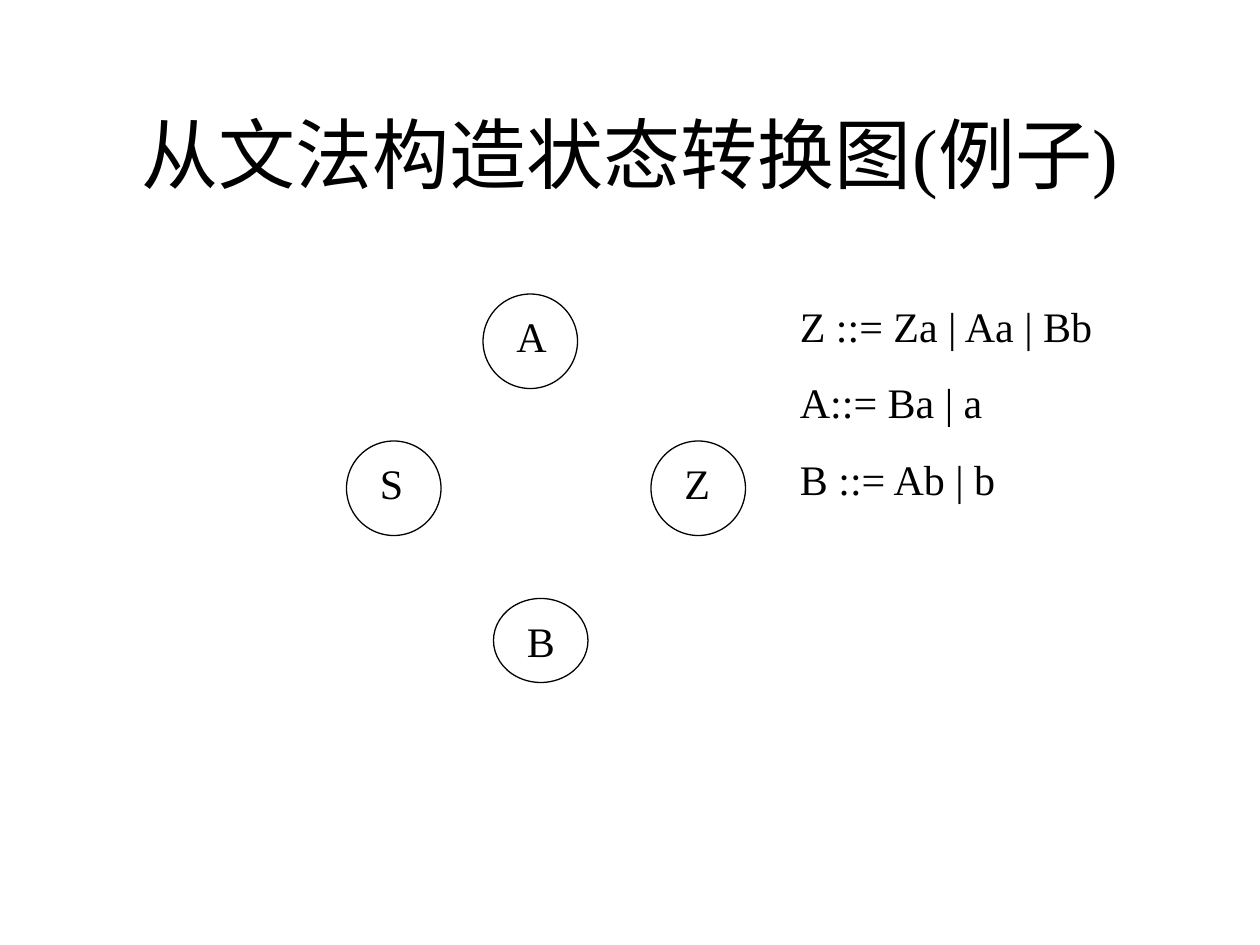
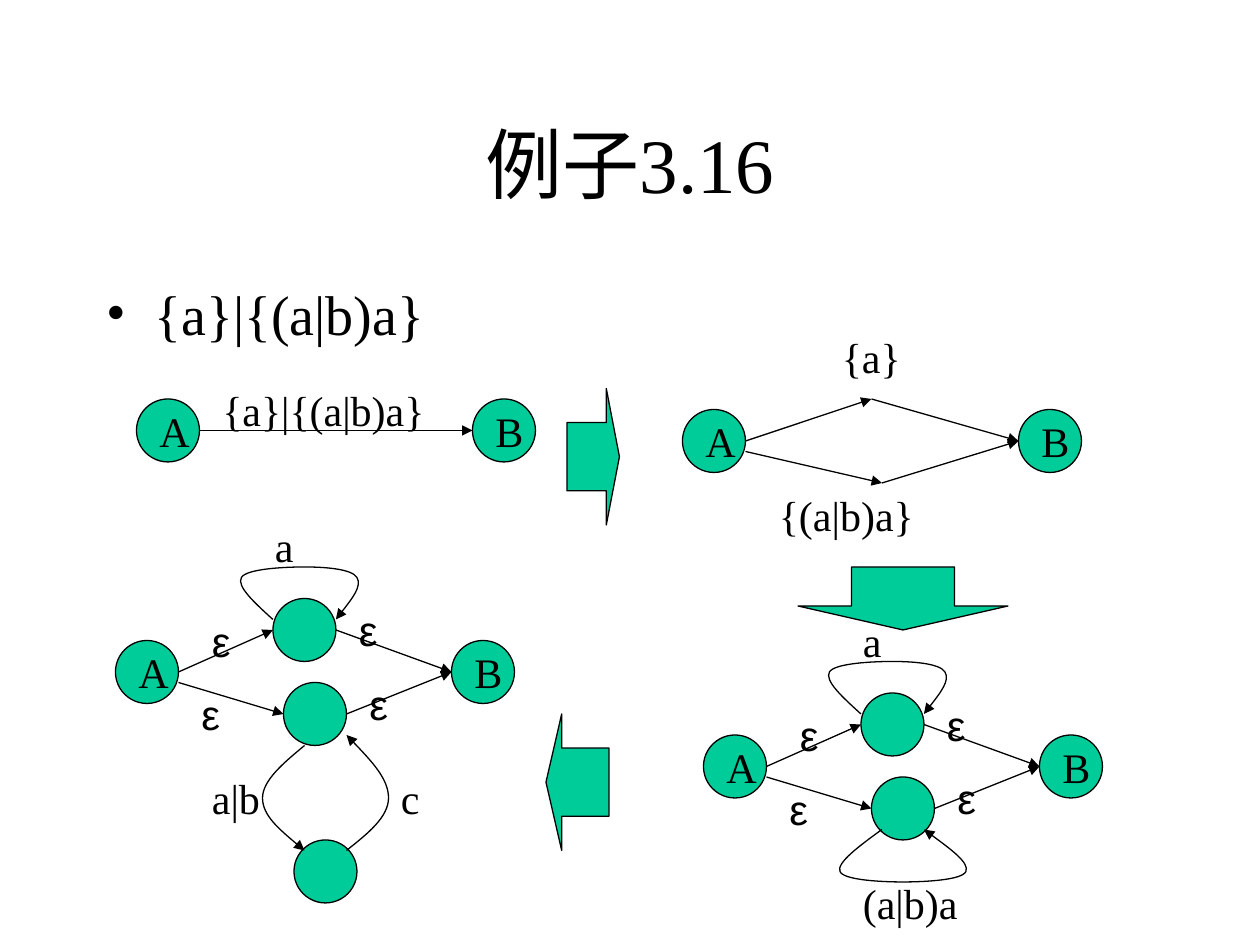
from dataclasses import dataclass

from lxml import etree
from pptx import Presentation
from pptx.dml.color import RGBColor
from pptx.enum.shapes import MSO_CONNECTOR, MSO_SHAPE
from pptx.enum.text import MSO_ANCHOR, MSO_AUTO_SIZE, PP_ALIGN
from pptx.oxml.ns import qn
from pptx.util import Inches, Pt

ELLIPSE = MSO_SHAPE.OVAL
RIGHT_ARROW = MSO_SHAPE.RIGHT_ARROW
DOWN_ARROW = MSO_SHAPE.DOWN_ARROW
LEFT_ARROW = MSO_SHAPE.LEFT_ARROW
STRAIGHT = MSO_CONNECTOR.STRAIGHT
MIDDLE = MSO_ANCHOR.MIDDLE
CENTER = PP_ALIGN.CENTER
GROW = MSO_AUTO_SIZE.SHAPE_TO_FIT_TEXT

CELL = Inches(1) // 12  # the slide is a grid of 120 columns by 90 rows
NODE = 6                # diameter of a state
SPAN = 32               # columns from state A to state B


@dataclass(frozen=True)
class Theme:
    ink: RGBColor = RGBColor(0, 0, 0)
    accent: RGBColor = RGBColor(0x00, 0xCC, 0x99)
    font: str = "Times New Roman"
    symbol_font: str = "Arial"
    title_size: int = 44
    body_size: int = 32
    label_size: int = 24
    line_width: float = 0.75
    label_gap: int = 15
    body_gap: int = 8


THEME = Theme()


def cells(*counts):
    return [round(count * CELL) for count in counts]


def shifted(origin, *points):
    return [(origin[0] + x, origin[1] + y) for x, y in points]


def add_text(slide, box, lines, size, gap=0, font=THEME.font):
    frame = slide.shapes.add_textbox(*cells(*box)).text_frame
    frame.word_wrap = True
    frame.text = "\n".join(lines)
    for paragraph in frame.paragraphs:
        paragraph.space_before = Pt(gap)
        for run in paragraph.runs:
            run.font.name = font
            run.font.size = Pt(size)
            run.font.color.rgb = THEME.ink
    return frame


def add_title(slide, text, row):
    frame = add_text(slide, (9, row, 102, 15), [text], THEME.title_size)
    frame.vertical_anchor = MIDDLE
    frame.paragraphs[0].alignment = CENTER


def add_bullet(slide, box, text):
    frame = add_text(slide, box, [text], THEME.body_size, THEME.body_gap)
    properties = frame.paragraphs[0]._p.get_or_add_pPr()
    indent = Inches(0.38)
    properties.set("marL", str(indent))
    properties.set("indent", str(-indent))
    etree.SubElement(properties, qn("a:buFont")).set("typeface", THEME.font)
    etree.SubElement(properties, qn("a:buChar")).set("char", "•")


def add_label(slide, corner, width, *lines, font=THEME.font):
    frame = add_text(slide, (*corner, width, NODE), lines,
                     THEME.label_size, THEME.label_gap, font)
    frame.auto_size = GROW


def set_line(line):
    line.color.rgb = THEME.ink
    line.width = Pt(THEME.line_width)


def add_outlined(slide, kind, box, fill=None, adjustments=()):
    shape = slide.shapes.add_shape(kind, *cells(*box))
    shape.shadow.inherit = False
    set_line(shape.line)
    if fill is None:
        shape.fill.background()
    else:
        shape.fill.solid()
        shape.fill.fore_color.rgb = fill
    for index, value in enumerate(adjustments):
        shape.adjustments[index] = value


def add_state(slide, corner, name=None):
    add_outlined(slide, ELLIPSE, (*corner, NODE, NODE), THEME.accent)
    if name:
        add_label(slide, *shifted(corner, (1, 0)), 7, name)


def add_arrowhead(line):
    etree.SubElement(line._get_or_add_ln(), qn("a:tailEnd")).set("type", "triangle")


def add_edge(slide, start, end):
    edge = slide.shapes.add_connector(STRAIGHT, *cells(*start, *end))
    set_line(edge.line)
    add_arrowhead(edge.line)
    etree.SubElement(edge._element.spPr, qn("a:effectLst"))


def bezier_segments(points):
    """Control points and end of each part of a curve relaxed at both ends."""
    last = len(points) - 1
    slopes = [None] * len(points)
    for i in range(1, last):
        slopes[i] = [(b - a) / 6 for a, b in zip(points[i - 1], points[i + 1])]
    segments = []
    for i in range(last):
        p, q = points[i], points[i + 1]
        leave = slopes[i] and [a + s for a, s in zip(p, slopes[i])]
        arrive = slopes[i + 1] and [b - s for b, s in zip(q, slopes[i + 1])]
        leave = leave or [(a + c) / 2 for a, c in zip(p, arrive)]
        arrive = arrive or [(b + c) / 2 for b, c in zip(q, leave)]
        segments.append((leave, arrive, q))
    return segments


def add_curve(slide, points):
    start, *rest = [cells(*point) for point in points]
    builder = slide.shapes.build_freeform(*start)
    builder.add_line_segments(rest, close=False)
    curve = builder.convert_to_shape()
    sides = list(curve._element.iter(qn("a:lnTo")))
    for side, segment in zip(sides, bezier_segments(points)):
        bend = etree.Element(qn("a:cubicBezTo"))
        for x, y in (cells(*point) for point in segment):
            point = etree.SubElement(bend, qn("a:pt"))
            point.set("x", str(x - curve.left))
            point.set("y", str(y - curve.top))
        side.getparent().replace(side, bend)
    curve.shadow.inherit = False
    curve.fill.background()
    set_line(curve.line)
    add_arrowhead(curve.line)


def add_end_states(slide, origin):
    for name, column in (("A", 0), ("B", SPAN)):
        add_state(slide, *shifted(origin, (column, 0)), name)


def add_edges(slide, origin, *edges):
    for edge in edges:
        add_edge(slide, *shifted(origin, *edge))


def single_edge_stage(slide, origin):
    add_end_states(slide, origin)
    add_edges(slide, origin, ((6, 3), (SPAN, 3)))
    add_label(slide, *shifted(origin, (7, -2)), 23, "{a}|{(a|b)a}")


def alternatives_stage(slide, origin):
    add_end_states(slide, origin)
    for start, bend in (((6, 3), (18, -1)), ((6, 4), (19, 7))):
        add_edges(slide, origin, (start, bend), (bend, (SPAN, 3)))
    add_label(slide, *shifted(origin, (14, -8)), 17, "{a}")
    add_label(slide, *shifted(origin, (8, 7)), 23, "{(a|b)a}")


def epsilon_stage(slide, origin):
    """Two branches of ε edges from A to B, the upper one looping on a."""
    add_end_states(slide, origin)
    add_edges(slide, origin,
              ((6, 3), (15, -1)), ((21, -1), (SPAN, 3)),
              ((6, 4), (16, 7)), ((22, 7), (SPAN, 3)))
    for corner in shifted(origin, (15, -4), (16, 4)):
        add_state(slide, corner)
    add_curve(slide, shifted(
        origin, (15, -2), (12, -6), (18, -7), (23, -6), (21, -2)))
    add_label(slide, *shifted(origin, (14, -12)), 10, "a")
    for corner in shifted(origin, (8, -3), (23, 3), (7, 4), (22, -4)):
        add_label(slide, corner, 8, "ε", font=THEME.symbol_font)


def lower_loop_stage(slide, origin):
    epsilon_stage(slide, origin)
    add_curve(slide, shifted(
        origin, (17, 9), (13, 13), (19, 14), (25, 13), (21, 9)))
    add_label(slide, *shifted(origin, (14, 13)), 13, "(a|b)a")


def lower_cycle_stage(slide, origin):
    epsilon_stage(slide, origin)
    add_state(slide, *shifted(origin, (17, 19)))
    add_curve(slide, shifted(origin, (18, 10), (14, 15), (18, 20)))
    add_curve(slide, shifted(origin, (22, 20), (26, 15), (22, 9)))
    add_label(slide, *shifted(origin, (8, 12)), 8, "a|b")
    add_label(slide, *shifted(origin, (26, 12)), 5, "c")


def grammar_slide(slide):
    add_title(slide, "从文法构造状态转换图(例子)", 7)
    for name, corner, height in (("A", (46, 28), 9), ("B", (47, 57), 8),
                                 ("S", (33, 42), 9), ("Z", (62, 42), 9)):
        add_outlined(slide, ELLIPSE, (*corner, 9, height))
        add_label(slide, *shifted(corner, (2, 1)), 6, name)
    add_label(slide, (75, 28), 32,
              "Z ::= Za | Aa | Bb", "A::= Ba | a", "B ::= Ab | b")


def example_slide(slide):
    add_title(slide, "例子3.16", 8)
    add_bullet(slide, (9, 26, 35, 9), "{a}|{(a|b)a}")
    single_edge_stage(slide, (13, 38))
    alternatives_stage(slide, (65, 39))
    lower_loop_stage(slide, (67, 70))
    lower_cycle_stage(slide, (11, 61))
    for kind, box, adjustments in (
            (RIGHT_ARROW, (54, 37, 5, 13), (0.5, 0.25)),
            (DOWN_ARROW, (76, 54, 20, 6), (0.49, 0.38)),
            (LEFT_ARROW, (52, 68, 6, 13), (0.5, 0.25))):
        add_outlined(slide, kind, box, THEME.accent, adjustments)


def main():
    deck = Presentation()
    deck.slide_width, deck.slide_height = cells(120, 90)
    blank = deck.slide_layouts[6]
    for build in (grammar_slide, example_slide):
        build(deck.slides.add_slide(blank))
    deck.save("out.pptx")


if __name__ == "__main__":
    main()
